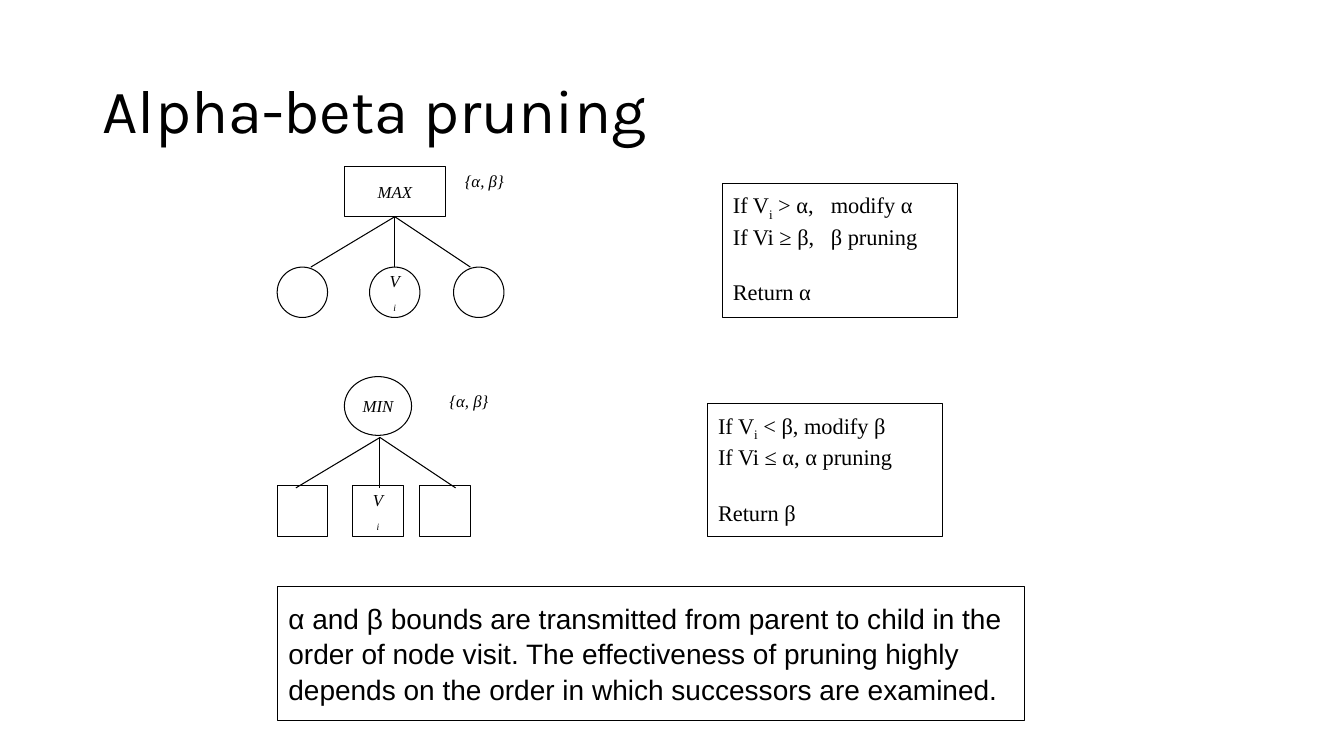
from pptx import Presentation
from pptx import util as u
from pptx.dml.color import RGBColor
from pptx.enum import shapes, text
from pptx.oxml.ns import qn
from lxml import etree

COLORS = {"ink": "000000"}
SERIF, SANS, HEADING = "Times New Roman", "Arial", "Karla"
LEFT, CENTER = text.PP_ALIGN.LEFT, text.PP_ALIGN.CENTER
RECT, OVAL = shapes.MSO_SHAPE.RECTANGLE, shapes.MSO_SHAPE.OVAL


class SlideBuilder:
    """Holds the style and the current slide; all lengths are in points."""

    def __init__(self, slide):
        self.slide = slide
        self.ink = RGBColor.from_string(COLORS["ink"])
        self.line_width = u.Pt(0.75)

    def style(self, paragraph, size, font, italic=False):
        paragraph.font.size = u.Pt(size)
        paragraph.font.name = font
        paragraph.font.italic = italic
        paragraph.font.color.rgb = self.ink

    def title(self, words, left, top, width, height):
        title = self.slide.shapes.title
        title.left, title.top, title.width, title.height = map(u.Pt, (left, top, width, height))
        title.text_frame.vertical_anchor = text.MSO_ANCHOR.MIDDLE
        paragraph = title.text_frame.paragraphs[0]
        paragraph.text = words
        paragraph.alignment = LEFT
        paragraph.line_spacing = 0.9
        self.style(paragraph, 44, HEADING)

    def outline(self, kind, left, top, width, height):
        shape = self.slide.shapes.add_shape(kind, *map(u.Pt, (left, top, width, height)))
        shape.shadow.inherit = False
        shape.fill.background()
        shape.line.color.rgb = self.ink
        shape.line.width = self.line_width
        return shape

    def branch(self, x1, y1, x2, y2, parent=None):
        line = self.slide.shapes.add_connector(
            shapes.MSO_CONNECTOR.STRAIGHT, *map(u.Pt, (x1, y1, x2, y2)))
        line.line.color.rgb = self.ink
        line.line.width = self.line_width
        etree.SubElement(line._element.spPr, qn("a:effectLst"))
        if parent is not None:
            line.begin_connect(parent, 2)

    def words(self, lines, left, top, width, height, size, font=SERIF, italic=False,
              align=LEFT, inset=3, spacing=1.05, last_gap=0, tab=None):
        """Writes one paragraph per line; "_" goes before and after a subscript."""
        box = self.slide.shapes.add_textbox(*map(u.Pt, (left, top, width, height)))
        frame = box.text_frame
        frame.word_wrap = True
        frame.margin_left = u.Pt(inset)
        frame.margin_right = frame.margin_top = frame.margin_bottom = 0
        if align == CENTER:
            frame.vertical_anchor = text.MSO_ANCHOR.MIDDLE
        for number, line in enumerate(lines):
            paragraph = frame.add_paragraph() if number else frame.paragraphs[0]
            paragraph.alignment = align
            paragraph.line_spacing = spacing
            if last_gap and number == len(lines) - 1:
                paragraph.space_before = u.Pt(last_gap)
            if tab and "\t" in line:
                tabs = etree.SubElement(paragraph._p.get_or_add_pPr(), qn("a:tabLst"))
                etree.SubElement(tabs, qn("a:tab"), pos=str(u.Pt(tab)), algn="l")
            for part, piece in enumerate(line.split("_")):
                run = paragraph.add_run()
                run.text = piece
                if part % 2:
                    run._r.get_or_add_rPr().set("baseline", "-25000")
            self.style(paragraph, size, font, italic)

    def label(self, words, center_x, center_y, width=48, height=16):
        self.words([words], center_x - width / 2, center_y - height / 2, width, height, 12,
                   italic=True, align=CENTER, inset=0, spacing=1)

    def children(self, kind, lefts, top, apex_x, apex_y, parent=None):
        """Draws three child nodes, the branches to them and the value of the middle one."""
        for left, reach in zip(lefts, (-60, 0, 54)):
            self.outline(kind, left, top, 36, 36)
            self.branch(apex_x, apex_y, apex_x + reach, apex_y + 36, parent)
        self.label("V_i_", lefts[1] + 18, top + 18, width=8.5, height=30)

    def bounds(self, words, left, top):
        self.words([words], left, top, 38, 15, 12, italic=True, spacing=1)

    def rules(self, lines, left, top, height):
        self.outline(RECT, left, top, 168, height)
        self.words(lines, left + 4.5, top + 4.5, 150, 78, 16, last_gap=19.3, tab=70)


def main():
    deck = Presentation()
    deck.slide_width, deck.slide_height = u.Pt(960), u.Pt(540)
    page = SlideBuilder(deck.slides.add_slide(deck.slide_layouts[5]))
    page.title("Alpha-beta pruning", 66, 28.8, 828, 104.4)

    # MAX node with its children and rules
    max_node = page.outline(RECT, 246, 118.8, 72, 36)
    page.label("MAX", 282, 136.8)
    page.children(OVAL, (198, 264, 324), 190.8, 282, 154.8, max_node)
    page.bounds("{α, β}", 329, 121.7)
    page.rules(["If V_i_ > α,\tmodify α", "If Vi ≥ β,\tβ pruning", "Return α"], 516, 131, 96)

    # MIN node with its children and rules
    page.outline(OVAL, 246, 269, 48, 42)
    page.label("MIN", 270, 290)
    page.children(RECT, (198, 252, 300), 347, 271.4, 312.5)
    page.bounds("{α, β}", 318, 279.4)
    page.rules(["If V_i_ < β, modify β", "If Vi ≤ α, α pruning", "Return β"], 505.4, 288.5, 94.5)

    # Summary
    page.outline(RECT, 198, 419, 534, 96)
    page.words(["α and β bounds are transmitted from parent to child in the order of node visit. "
                "The effectiveness of pruning highly depends on the order in which successors "
                "are examined."], 203, 428.4, 526, 76, 20, SANS)

    deck.save("out.pptx")


if __name__ == "__main__":
    main()
